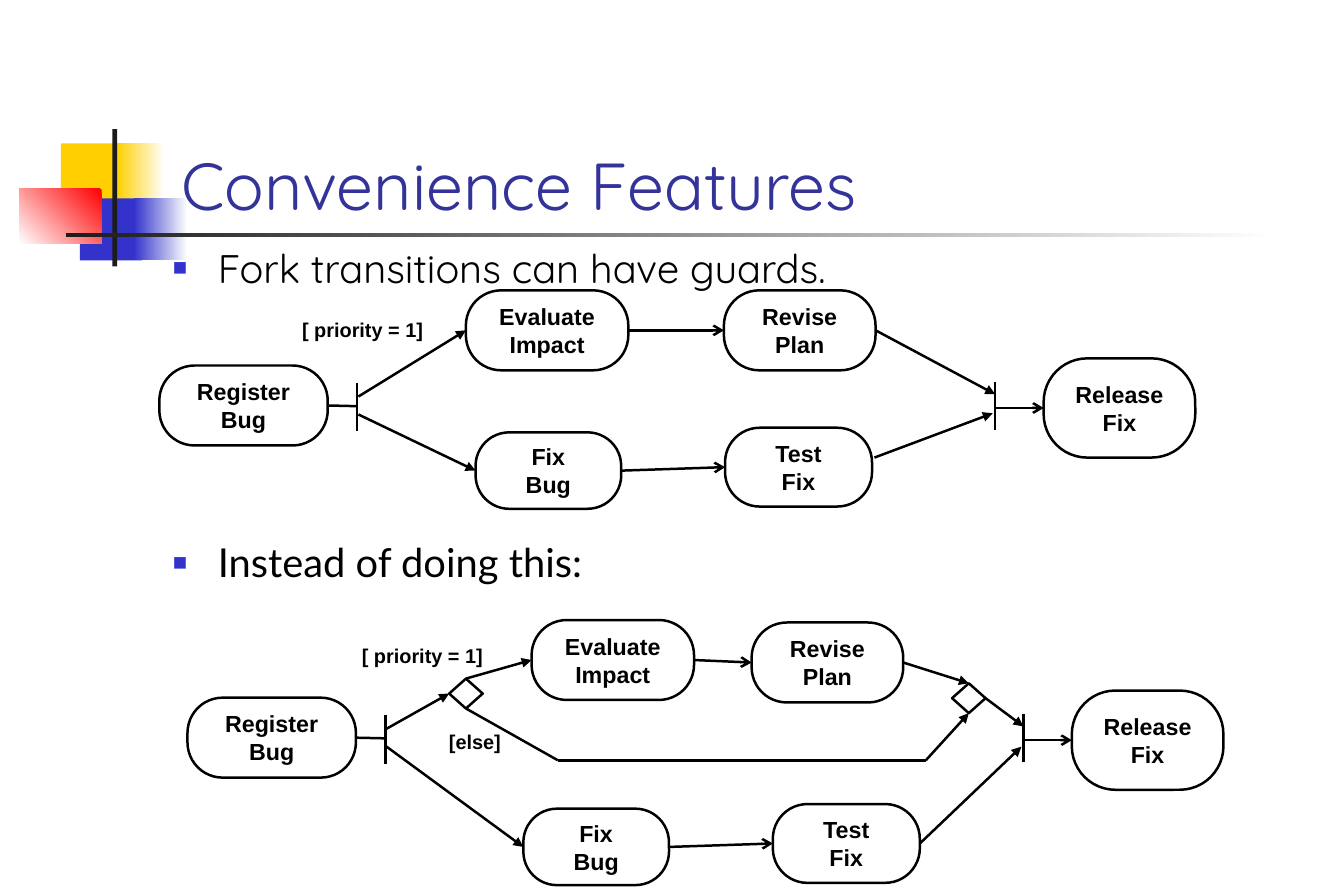
from lxml import etree
from pptx import Presentation
from pptx.dml.color import RGBColor
from pptx.enum.shapes import MSO_CONNECTOR, MSO_SHAPE
from pptx.enum.text import MSO_ANCHOR, MSO_AUTO_SIZE, PP_ALIGN
from pptx.oxml.ns import qn
from pptx.util import Pt

WHITE = RGBColor(0xFF, 0xFF, 0xFF)
BLACK = RGBColor(0x00, 0x00, 0x00)
CHARCOAL = RGBColor(0x1C, 0x1C, 0x1C)
YELLOW = RGBColor(0xFF, 0xCF, 0x01)
RED = RGBColor(0xFF, 0x00, 0x00)
BLUE = RGBColor(0x33, 0x33, 0xCC)
TITLE_BLUE = RGBColor(0x33, 0x33, 0x99)

TOP, LEFT, BOTTOM, RIGHT = range(4)

# Width and height of each activity
SIZES = {
    "Register Bug": (101.5, 48.2),
    "Release Fix": (91.4, 59.8),
    "Evaluate Impact": (97.9, 48.2),
    "Revise Plan": (91.4, 48.2),
    "Fix Bug": (87.8, 46.1),
    "Test Fix": (88.6, 47.5),
}


def set_font(para, name, size, color, bold=False):
    font = para.font
    font.name, font.size, font.bold = name, Pt(size), bold
    font.color.rgb = color


def add_ornament(page, left, top):
    """Coloured blocks and rules beside the title."""
    blocks = [
        # x, y, width, height, colours, angle
        (25.2, 8.6, 38.9, 37.4, [YELLOW], 0),
        (59, 8.6, 28.8, 37.4, [WHITE, YELLOW], 180),
        (36.7, 41.8, 37.4, 37.4, [BLUE], 0),
        (69.1, 41.8, 32.4, 37.4, [WHITE, BLUE], 180),
        (0, 36, 49.7, 33.1, [RED, WHITE], 225),
        (56.2, 0, 2.9, 82.8, [CHARCOAL], 0),
        (28.1, 62.6, 728.6, 2.2, [WHITE, CHARCOAL], 180),
    ]
    for x, y, width, height, colors, angle in blocks:
        block = page.shapes.add_shape(
            MSO_SHAPE.RECTANGLE, Pt(left + x), Pt(top + y), Pt(width), Pt(height))
        block.shadow.inherit = False
        block.line.fill.background()
        if len(colors) == 1:
            block.fill.solid()
            block.fill.fore_color.rgb = colors[0]
        else:
            block.fill.gradient()
            block.fill.gradient_angle = angle
            for stop, color in zip(block.fill.gradient_stops, colors):
                stop.color.rgb = color


def add_title(page, left, top, width, height, text):
    title = page.shapes.title
    title.left, title.top, title.width, title.height = map(Pt, (left, top, width, height))
    frame = title.text_frame
    frame.text = text
    frame.auto_size = MSO_AUTO_SIZE.NONE
    frame.vertical_anchor = MSO_ANCHOR.BOTTOM
    para = frame.paragraphs[0]
    para.alignment = PP_ALIGN.LEFT
    set_font(para, "Quicksand", 40, TITLE_BLUE)
    # Keep the title in front of the ornament
    title._element.getparent().append(title._element)


def add_text(page, left, top, width, height, text):
    box = page.shapes.add_textbox(Pt(left), Pt(top), Pt(width), Pt(height))
    box.text_frame.word_wrap = True
    para = box.text_frame.paragraphs[0]
    para.text = text
    return para


def add_bullet(page, left, top, width, height, text, font, spacing):
    para = add_text(page, left, top, width, height, text)
    para.line_spacing = spacing
    properties = para._p.get_or_add_pPr()
    properties.set("marL", str(Pt(27)))
    properties.set("indent", str(Pt(-27)))
    color = etree.SubElement(properties, qn("a:buClr"))
    etree.SubElement(color, qn("a:srgbClr"), val=str(BLUE))
    etree.SubElement(properties, qn("a:buSzPct"), val="60000")
    etree.SubElement(properties, qn("a:buFont"), typeface="Arial")
    etree.SubElement(properties, qn("a:buChar"), char="■")
    set_font(para, font, 24, BLACK)


def add_outline(page, kind, left, top, width, height):
    shape = page.shapes.add_shape(kind, Pt(left), Pt(top), Pt(width), Pt(height))
    shape.shadow.inherit = False
    shape.fill.background()
    shape.line.color.rgb = BLACK
    shape.line.width = Pt(1.5)
    return shape


def add_activity(page, left, top, name):
    shape = add_outline(page, MSO_SHAPE.ROUNDED_RECTANGLE, left, top, *SIZES[name])
    shape.adjustments[0] = 0.44
    frame = shape.text_frame
    frame.word_wrap = False
    frame.vertical_anchor = MSO_ANCHOR.MIDDLE
    frame.text = name.replace(" ", "\n")
    for para in frame.paragraphs:
        para.alignment = PP_ALIGN.CENTER
        set_font(para, "Arial", 14, BLACK, bold=True)
    return shape


def add_flow(page, left, top, places, register_text="Register Bug", release_text="Release Fix"):
    """Activities, fork and join bars; returns the parts and a line drawer."""

    def locate(end):
        """An end is a point in the flow, or a shape with one of its sides."""
        first, second = end
        if not hasattr(first, "shape_id"):
            return Pt(left + first), Pt(top + second)
        x = {LEFT: 0, RIGHT: first.width}.get(second, first.width // 2)
        y = {TOP: 0, BOTTOM: first.height}.get(second, first.height // 2)
        return first.left + x, first.top + y

    def link(start, end, head=None):
        line = page.shapes.add_connector(MSO_CONNECTOR.STRAIGHT, *locate(start), *locate(end))
        line.line.color.rgb = BLACK
        line.line.width = Pt(1.5)
        if head:
            etree.SubElement(line.line._get_or_add_ln(), qn("a:tailEnd"), type=head)
        etree.SubElement(line._element.spPr, qn("a:effectLst"))
        for (target, site), join in ((start, line.begin_connect), (end, line.end_connect)):
            if hasattr(target, "shape_id"):
                join(target, site)

    places = {register_text: (0, 45.3), release_text: (533, 41), **places}
    parts = {name: add_activity(page, left + x, top + y, name)
             for name, (x, y) in places.items()}
    # Fork and join bars
    link((119.3, 56), (119.3, 85))
    link((503.8, 55), (503.8, 84))
    link((parts[register_text], RIGHT), (119.3, 69.8))
    link((503.8, 70.9), (parts[release_text], LEFT), "arrow")
    # Steps inside both branches
    for first, second in (("Evaluate Impact", "Revise Plan"), ("Fix Bug", "Test Fix")):
        link((parts[first], RIGHT), (parts[second], LEFT), "arrow")
    link((120, 74.8), (parts["Fix Bug"], LEFT), "triangle")
    return parts, link


def add_label(page, left, top, width, text):
    set_font(add_text(page, left, top, width, 21.6, text), "Arial", 12, BLACK, bold=True)


def add_guarded_flow(page, left, top):
    """Flow whose fork transition carries a guard."""
    parts, link = add_flow(page, left, top, {
        "Evaluate Impact": (184.8, 0), "Revise Plan": (340.3, 0),
        "Fix Bug": (190.6, 85.6), "Test Fix": (341, 82.8)})
    link((120, 64), (parts["Evaluate Impact"], LEFT), "triangle")
    link((parts["Revise Plan"], RIGHT), (503.8, 62.6), "triangle")
    link((431, 100.8), (502.3, 74.1), "triangle")
    add_label(page, left + 79, top + 12.9, 100, "[ priority = 1]")


def add_decision_flow(page, left, top):
    """Flow with a decision and a merge in place of the guard."""
    parts, link = add_flow(page, left, top, {
        "Evaluate Impact": (207.4, -1.5), "Revise Plan": (340, 0),
        "Fix Bug": (202.4, 112.2), "Test Fix": (352.8, 109.4)})
    decision, merge = (
        add_outline(page, MSO_SHAPE.DIAMOND, left + x, top + y, 20.2, 18)
        for x, y in ((157.7, 33.8), (460.8, 36.6)))
    link((120, 64), (decision, LEFT), "triangle")
    link((decision, TOP), (parts["Evaluate Impact"], LEFT), "triangle")
    link((parts["Revise Plan"], RIGHT), (merge, TOP), "triangle")
    link((merge, RIGHT), (503.8, 62.6), "triangle")
    link((parts["Test Fix"], RIGHT), (502.6, 74.8), "triangle")
    # Else branch
    link((decision, BOTTOM), (223.2, 83))
    link((223.2, 83), (445, 83))
    link((445, 83), (merge, BOTTOM), "triangle")
    add_label(page, left + 98, top + 9.3, 101.5, "[ priority = 1]")
    add_label(page, left + 150.5, top + 61.1, 52.6, "[else]")


def main():
    deck = Presentation()
    deck.slide_width, deck.slide_height = Pt(810), Pt(540)
    page = deck.slides.add_slide(deck.slide_layouts[5])
    add_ornament(page, 11.5, 77.8)
    add_title(page, 102.2, 48.2, 690.5, 90, "Convenience Features")
    add_bullet(page, 97.2, 143.3, 688.3, 43.2,
               "Fork transitions can have guards.", "Quicksand", 1.0)
    add_guarded_flow(page, 96, 175)
    add_decision_flow(page, 113, 375.2)
    add_bullet(page, 97.2, 324, 688.3, 54.7, "Instead of doing this:", "Lato", 0.9)
    deck.save("out.pptx")


if __name__ == "__main__":
    main()
